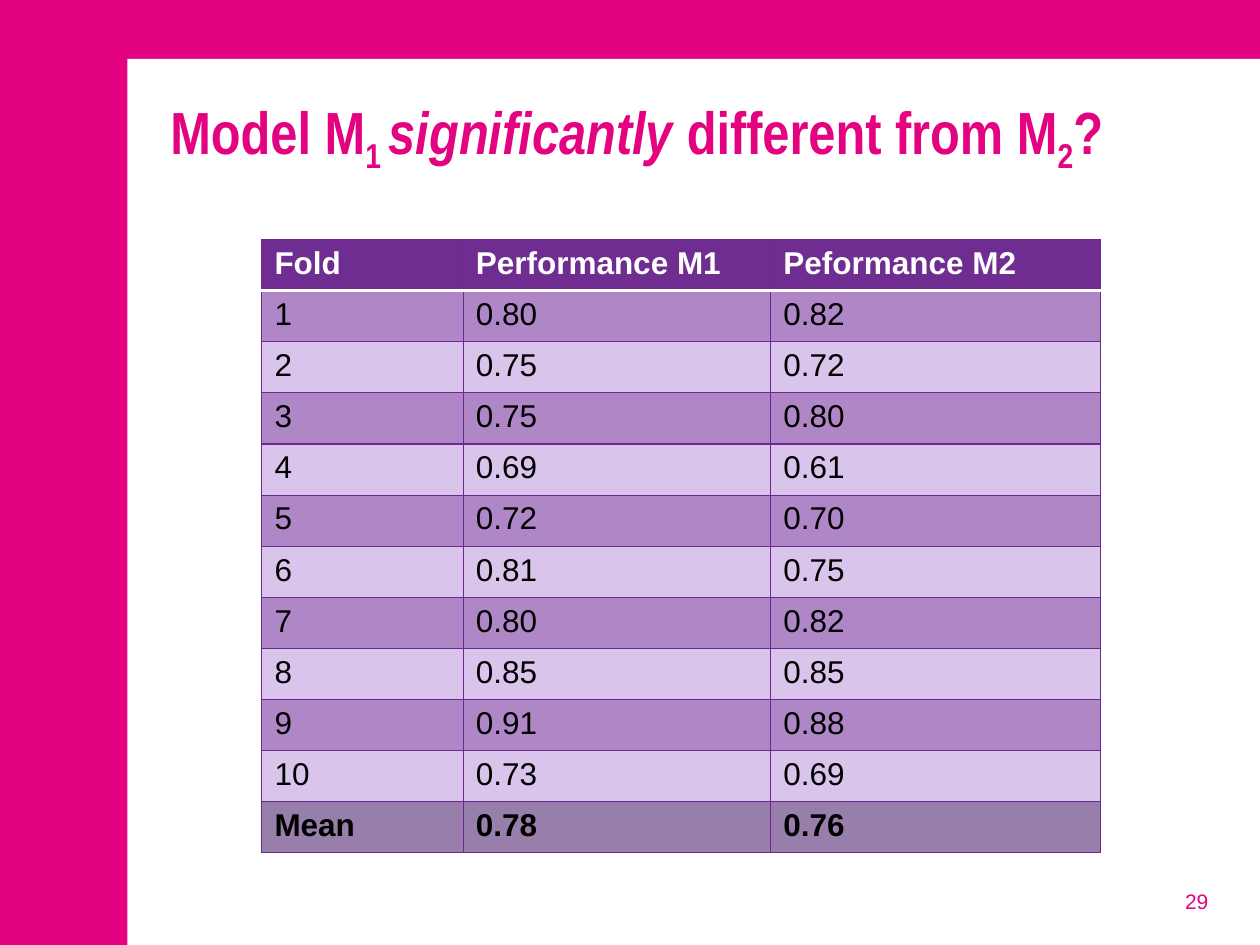
from lxml.etree import SubElement
from pptx import Presentation
from pptx.dml.color import RGBColor
from pptx.enum.shapes import MSO_SHAPE as Shape
from pptx.enum.text import MSO_ANCHOR as Anchor, MSO_AUTO_SIZE as AutoSize, PP_ALIGN as Align
from pptx.oxml.ns import qn
from pptx.util import Cm, Pt

COLORS = {"pink": "E3027F", "white": "FFFFFF", "black": "000000", "header": "6F2C91",
          "odd": "AF87C7", "even": "D9C4EB", "mean": "987EAA", "border": "6D2990"}
TITLE = [("Model M", {}), ("1 ", {"baseline": -25}), ("significantly", {"italic": True}),
         (" different from M", {}), ("2", {"baseline": -25}), ("?", {})]
HEADER = ("Fold", "Performance M1", "Peformance M2")
FOLDS = [("0.80", "0.82"), ("0.75", "0.72"), ("0.75", "0.80"), ("0.69", "0.61"),
         ("0.72", "0.70"), ("0.81", "0.75"), ("0.80", "0.82"), ("0.85", "0.85"),
         ("0.91", "0.88"), ("0.73", "0.69")]
MEAN = ("Mean", "0.78", "0.76")
COLUMN_WIDTHS = (4.06, 6.2, 6.65)
ROW_HEIGHT = 1.03


def rgb(name):
    return RGBColor.from_string(COLORS[name])


def write(para, text, size=18, font="Arial", color="black", bold=False, italic=False, baseline=0):
    span = para.add_run()
    span.text = text
    span.font.size, span.font.name = Pt(size), font
    span.font.bold, span.font.italic = bold, italic
    span.font.color.rgb = rgb(color)
    if baseline:
        span.font._element.set("baseline", str(baseline * 1000))


def place(shape, left, top, width, height):
    shape.left, shape.top, shape.width, shape.height = map(Cm, (left, top, width, height))


def set_borders(cell, **sides):
    properties = cell._tc.get_or_add_tcPr()
    for side in "LRTB":
        color, width = sides.get(side, ("border", 0.75))
        line = SubElement(properties, qn(f"a:ln{side}"), w=str(Pt(width)))
        fill = SubElement(line, qn("a:solidFill"))
        SubElement(fill, qn("a:srgbClr"), val=COLORS[color])


def add_results(page):
    rows = [HEADER, *((str(fold), *scores) for fold, scores in enumerate(FOLDS, 1)), MEAN]
    last = len(rows) - 1
    table = page.shapes.add_table(len(rows), len(HEADER), Cm(5.28), Cm(4.83),
                                  Cm(sum(COLUMN_WIDTHS)), Cm(ROW_HEIGHT * len(rows))).table
    table.first_row = table.horz_banding = False
    for column, width in zip(table.columns, COLUMN_WIDTHS):
        column.width = Cm(width)
    separators = {0: {"B": ("white", 2)}, 1: {"T": ("white", 2)}}
    fills = {0: "header", last: "mean"}
    for index, values in enumerate(rows):
        table.rows[index].height = Cm(ROW_HEIGHT)
        for cell, value in zip(table.rows[index].cells, values):
            set_borders(cell, **separators.get(index, {}))
            cell.fill.solid()
            cell.fill.fore_color.rgb = rgb(fills.get(index, "odd" if index % 2 else "even"))
            write(cell.text_frame.paragraphs[0], value, bold=index in fills,
                  color="black" if index else "white")


def main():
    """Build the slide comparing two models fold by fold."""
    deck = Presentation()
    deck.slide_width, deck.slide_height = Cm(25.4), Cm(19.05)
    page = deck.slides.add_slide(deck.slide_layouts[5])
    page.background.fill.solid()
    page.background.fill.fore_color.rgb = rgb("pink")

    panel = page.shapes.add_shape(Shape.RECTANGLE, Cm(2.57), Cm(1.19), Cm(22.83), Cm(17.86))
    panel.shadow.inherit = False
    panel.fill.solid()
    panel.fill.fore_color.rgb = rgb("white")
    panel.line.fill.background()
    page.shapes._spTree.insert(2, panel._element)

    title = page.shapes.title
    place(title, 3.18, 1.78, 21.44, 3.4)
    title.text_frame.vertical_anchor = Anchor.TOP
    title.text_frame.auto_size = AutoSize.NONE
    para = title.text_frame.paragraphs[0]
    para.alignment = Align.LEFT
    for text, style in TITLE:
        write(para, text, size=34, font="Arial Narrow", color="pink", bold=True, **style)

    add_results(page)

    number = page.shapes.add_textbox(Cm(18.69), Cm(17.65), Cm(5.92), Cm(1.02))
    number.text_frame.word_wrap = True
    number.text_frame.vertical_anchor = Anchor.MIDDLE
    para = number.text_frame.paragraphs[0]
    para.alignment = Align.RIGHT
    write(para, "29", size=12, color="pink")

    deck.save("out.pptx")


if __name__ == "__main__":
    main()
